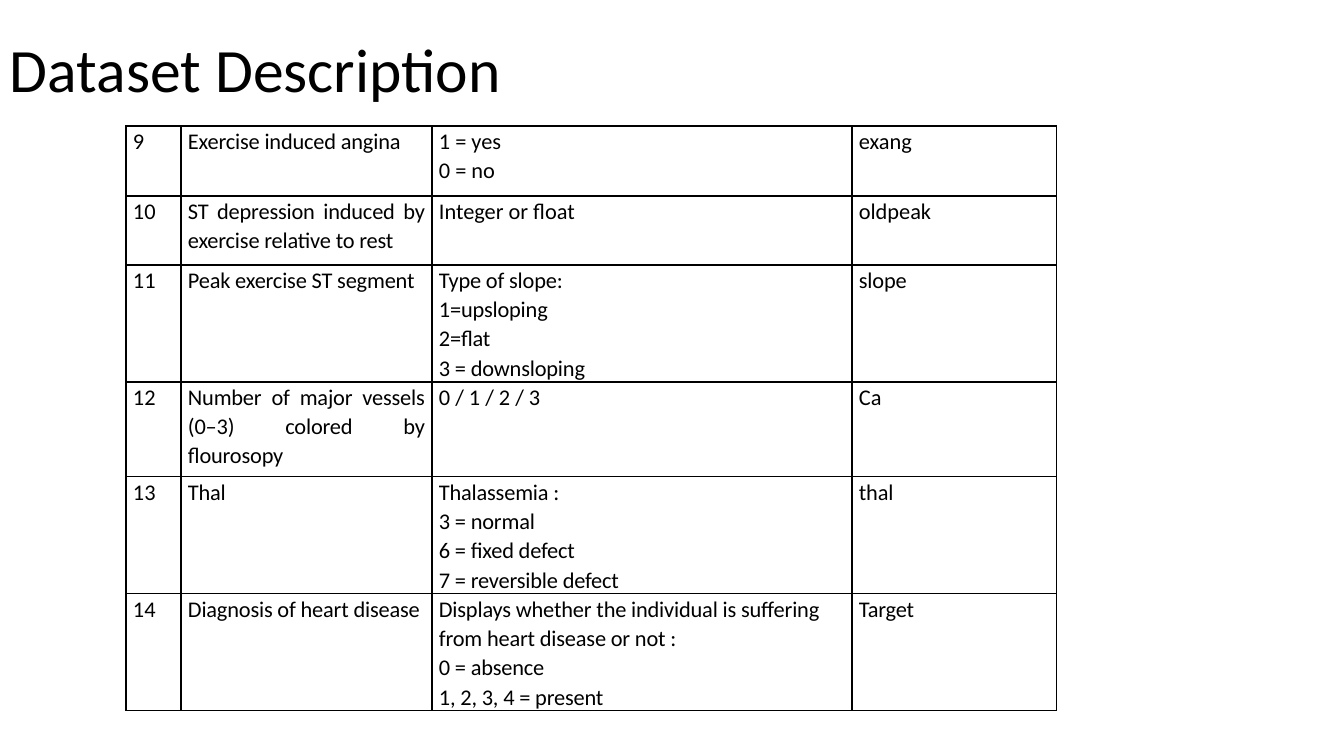
from lxml.etree import SubElement
from pptx import Presentation
from pptx.dml.color import RGBColor
from pptx.enum.text import MSO_ANCHOR, PP_ALIGN
from pptx.oxml.ns import qn
from pptx.util import Emu, Pt

SLIDE_W, SLIDE_H = 1344, 756
EMU_PER_PX = 12192000 / SLIDE_W
BLACK = RGBColor(0x00, 0x00, 0x00)

COL_WIDTHS = [55, 251, 420, 205]
ROW_HEIGHTS = [70, 69, 117, 95, 117, 117]
# Each row: alignment of the last two columns, then attribute, values, field name.
# Values are a list of paragraphs; a newline is a line break inside one.
ATTRIBUTES = [
    (PP_ALIGN.JUSTIFY, "Exercise induced angina", ["1 = yes", "0 = no"], "exang"),
    (PP_ALIGN.JUSTIFY, "ST depression induced by exercise relative to rest",
     ["Integer or float"], "oldpeak"),
    (PP_ALIGN.LEFT, "Peak exercise ST segment",
     ["Type of slope:", "1=upsloping\n2=flat\n3 = downsloping"], "slope"),
    (PP_ALIGN.JUSTIFY, "Number of major vessels (0–3) colored by flourosopy",
     ["0 / 1 / 2 / 3"], "Ca"),
    (PP_ALIGN.LEFT, "Thal",
     ["Thalassemia :\n3 = normal\n6 = fixed defect\n7 = reversible defect"], "thal"),
    (PP_ALIGN.LEFT, "Diagnosis of heart disease",
     ["Displays whether the individual is suffering from heart disease or not :\n"
      "0 = absence\n1, 2, 3, 4 = present"], "Target"),
]
FIRST_NUMBER = 9


def px(n):
    return Emu(round(n * EMU_PER_PX))


def apply(obj, values):
    for name, value in values.items():
        setattr(obj, name, value)


class Deck:
    font = {"name": "Calibri"}
    cell_format = {"margin_left": px(7), "margin_right": px(7),
                   "margin_top": 0, "margin_bottom": 0}

    def __init__(self):
        self.prs = Presentation()
        apply(self.prs, {"slide_width": px(SLIDE_W), "slide_height": px(SLIDE_H)})
        self.slide = self.prs.slides.add_slide(self.prs.slide_layouts[6])

    def fill_text(self, tf, paragraphs, size, line_spacing, align, tight=False):
        """Fill a text frame; tight narrows the letter spacing by 0.1 pt."""
        for i, text in enumerate(paragraphs):
            p = tf.add_paragraph() if i else tf.paragraphs[0]
            apply(p, {"alignment": align, "line_spacing": line_spacing})
            for j, line in enumerate(text.split("\n")):
                if j:
                    p.add_line_break()
                r = p.add_run()
                r.text = line
                apply(r.font, {**self.font, "size": Pt(size)})
                r.font.color.rgb = BLACK
                if tight:
                    r.font._element.set("spc", "-10")
            for br in p._p.findall(qn("a:br")):
                SubElement(br, qn("a:rPr"), sz=str(size * 100))

    def title(self, text, x, y, w, h):
        tf = self.slide.shapes.add_textbox(px(x), px(y), px(w), px(h)).text_frame
        apply(tf, {"word_wrap": True, "vertical_anchor": MSO_ANCHOR.MIDDLE})
        self.fill_text(tf, [text], 44, 0.9, PP_ALIGN.LEFT)

    def borders(self, cell):
        tc_pr = cell._tc.get_or_add_tcPr()
        for i, side in enumerate(("lnL", "lnR", "lnT", "lnB")):
            ln = tc_pr.makeelement(qn(f"a:{side}"), {"w": str(int(Pt(1)))})
            fill = SubElement(ln, qn("a:solidFill"))
            SubElement(fill, qn("a:srgbClr"), val=str(BLACK))
            tc_pr.insert(i, ln)

    def table(self, x, y, widths, heights):
        frame = self.slide.shapes.add_table(len(heights), len(widths), px(x), px(y),
                                            px(sum(widths)), px(sum(heights)))
        table = frame.table
        apply(table, {"first_row": False, "horz_banding": False})
        for col, w in zip(table.columns, widths):
            col.width = px(w)
        for row, h in zip(table.rows, heights):
            row.height = px(h)
        return table

    def cell(self, cell, paragraphs, align, tight):
        apply(cell, self.cell_format)
        cell.fill.background()
        self.borders(cell)
        self.fill_text(cell.text_frame, paragraphs, 16, 1.07, align, tight)


def main():
    deck = Deck()
    deck.title("Dataset Description", 0, 0, 1159, 146)
    table = deck.table(126, 126, COL_WIDTHS, ROW_HEIGHTS)
    for r, (align, attribute, values, field) in enumerate(ATTRIBUTES):
        row = [[str(FIRST_NUMBER + r)], [attribute], values, [field]]
        for c, paragraphs in enumerate(row):
            cell_align = align if c >= 2 else PP_ALIGN.JUSTIFY
            tight = c == 1 or cell_align == PP_ALIGN.LEFT
            deck.cell(table.cell(r, c), paragraphs, cell_align, tight)
    deck.prs.save("out.pptx")


if __name__ == "__main__":
    main()
